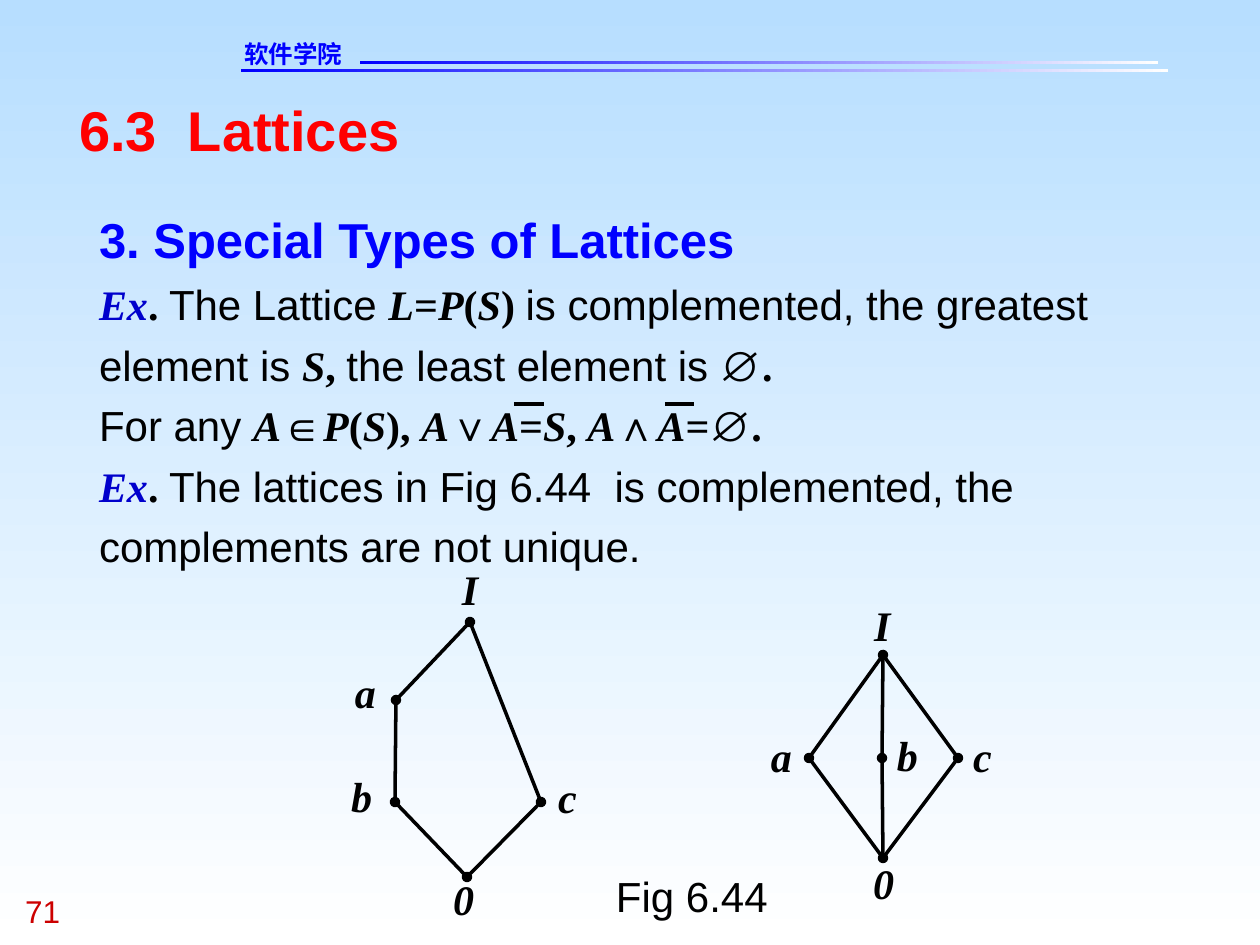
from lxml import etree
from pptx import Presentation
from pptx.dml.color import RGBColor
from pptx.enum.shapes import MSO_CONNECTOR as Connector, MSO_SHAPE as Shape
from pptx.enum.text import MSO_AUTO_SIZE as AutoSize, PP_ALIGN as Align
from pptx.oxml.ns import qn
from pptx.util import Pt

PX = 914400 / 126
COLORS = {"sky": "B7DEFF", "white": "FFFFFF", "blue": "0000FF", "navy": "0000CC",
          "red": "FF0000", "number": "CC0000", "black": "000000"}
SANS, SERIF = "Arial", "Times New Roman"

# Run styles: font, bold, italic, colour
STYLES = {
    "text": (SANS, False, False, "black"),
    "symbol": (SANS, True, False, "black"),
    "serif": (SERIF, True, False, "black"),
    "math": (SERIF, True, True, "black"),
    "example": (SERIF, True, True, "navy"),
    "heading": (SANS, True, False, "blue"),
    "title": (SANS, True, False, "red"),
    "number": (SANS, False, False, "number"),
    "school": ("DejaVu Sans", True, False, "blue"),
}

# Single-line texts: text, style, size, left, top, width, height
LINES = [
    ("软件学院", "school", 14, 244, 39, 183, 29),
    ("71", "number", 18, 25, 892, 95, 38),
    ("6.3  Lattices", "title", 32, 79, 95, 1103, 67),
    ("Fig 6.44", "text", 24, 616, 871, 152, 50),
]
BODY_AT = (99, 198, 1104, 373)
BODY = [
    (28, [("3. Special Types of Lattices", "heading")]),
    (24, [("Ex", "example"), (". ", "serif"), ("The Lattice ", "text"), ("L", "math"),
          ("=", "serif"), ("P", "math"), ("(", "serif"), ("S", "math"), (") ", "serif"),
          ("is complemented, the greatest element is ", "text"), ("S", "math"),
          (", ", "serif"), ("the least element is ", "text"), ("∅", "symbol"),
          (".", "serif")]),
    (24, [("For any ", "text"), ("A", "math"), ("∈", "symbol"), ("P", "math"),
          ("(", "serif"), ("S", "math"), ("), ", "serif"), ("A", "math"),
          ("∨", "symbol"), ("A", "math"), ("=", "serif"), ("S", "math"),
          (", ", "serif"), ("A", "math"), ("∧", "symbol"), ("A", "math"),
          ("=", "serif"), ("∅", "symbol"), (".", "serif")]),
    (24, [("Ex", "example"), (". ", "serif"),
          ("The lattices in Fig 6.44  is complemented, the complements are not unique.",
           "text")]),
]
RULES = [(241, 69, 927, 3), (360, 61, 798, 3)]
OVERBARS = [((514, 404), (544, 404)), ((665, 404), (694, 404))]

# Hasse diagrams: node -> (x, y, label left, label top); edges -> dotted ends
LATTICES = [
    ({"I": (470, 622, 462, 564), "a": (396, 700, 355, 667), "b": (395, 802, 351, 771),
      "c": (541, 802, 558, 772), "0": (467, 877, 453, 874)},
     [("0c", "0c"), ("0b", "b"), ("ba", "a"), ("aI", "I"), ("cI", "")]),
    ({"I": (883, 655, 874, 600), "a": (809, 758, 771, 731), "b": (882, 758, 897, 730),
      "c": (958, 758, 973, 731), "0": (883, 858, 873, 858)},
     [("0c", "0c"), ("0a", "a"), ("aI", "I"), ("cI", ""), ("bI", ""), ("0b", "b")]),
]
LABEL_WIDTHS = {"I": 16, "c": 19}
LABEL_HEIGHT = 50


def emu(*lengths):
    return [round(length * PX) for length in lengths]


def rgb(name):
    return RGBColor.from_string(COLORS[name])


def set_gradient(fill, names, angle):
    fill.gradient()
    fill.gradient_angle = angle
    for stop, name in zip(fill.gradient_stops, names):
        stop.color.rgb = rgb(name)


def set_font(font, style, size):
    font.name, font.bold, font.italic, color = STYLES[style]
    font.size = Pt(size)
    font.color.rgb = rgb(color)


def add_box(shapes, at, wrap=True):
    frame = shapes.add_textbox(*emu(*at)).text_frame
    frame.margin_left = frame.margin_top = frame.margin_right = frame.margin_bottom = 0
    frame.word_wrap = wrap
    frame.auto_size = AutoSize.SHAPE_TO_FIT_TEXT
    return frame


def add_line(shapes, start, end, head=False, tail=False):
    line = shapes.add_connector(Connector.STRAIGHT, *emu(*start, *end))
    line.line.color.rgb = rgb("black")
    line.line.width = Pt(2)
    outline = line.line._get_or_add_ln()
    for tag, dotted in (("a:headEnd", head), ("a:tailEnd", tail)):
        if dotted:
            etree.SubElement(outline, qn(tag), type="oval")
    etree.SubElement(line._element.spPr, qn("a:effectLst"))


deck = Presentation()
deck.slide_width, deck.slide_height = emu(1260, 945)
page = deck.slides.add_slide(deck.slide_layouts[6])
set_gradient(page.background.fill, ("sky", "white"), 270)

# Header rules
for at in RULES:
    bar = page.shapes.add_shape(Shape.RECTANGLE, *emu(*at))
    bar.shadow.inherit = False
    bar.line.fill.background()
    set_gradient(bar.fill, ("white", "blue"), 180)

# Header, page number, title and caption
for text, style, size, *at in LINES:
    para = add_box(page.shapes, at).paragraphs[0]
    para.text = text
    set_font(para.font, style, size)

# Body text
frame = add_box(page.shapes, BODY_AT)
for index, (size, runs) in enumerate(BODY):
    para = frame.add_paragraph() if index else frame.paragraphs[0]
    para.line_spacing = 1.2
    for text, style in runs:
        span = para.add_run()
        span.text = text
        set_font(span.font, style, size)

# Complement bars over A
for start, end in OVERBARS:
    add_line(page.shapes, start, end)

# Lattice diagrams
for nodes, edges in LATTICES:
    group = page.shapes.add_group_shape()
    for (start, end), dots in edges:
        add_line(group.shapes, nodes[start][:2], nodes[end][:2], start in dots, end in dots)
    for name, (_, _, left, top) in nodes.items():
        at = (left, top, LABEL_WIDTHS.get(name, 21), LABEL_HEIGHT)
        para = add_box(group.shapes, at, wrap=False).paragraphs[0]
        para.text = name
        para.alignment = Align.CENTER
        set_font(para.font, "math", 24)

deck.save("out.pptx")
